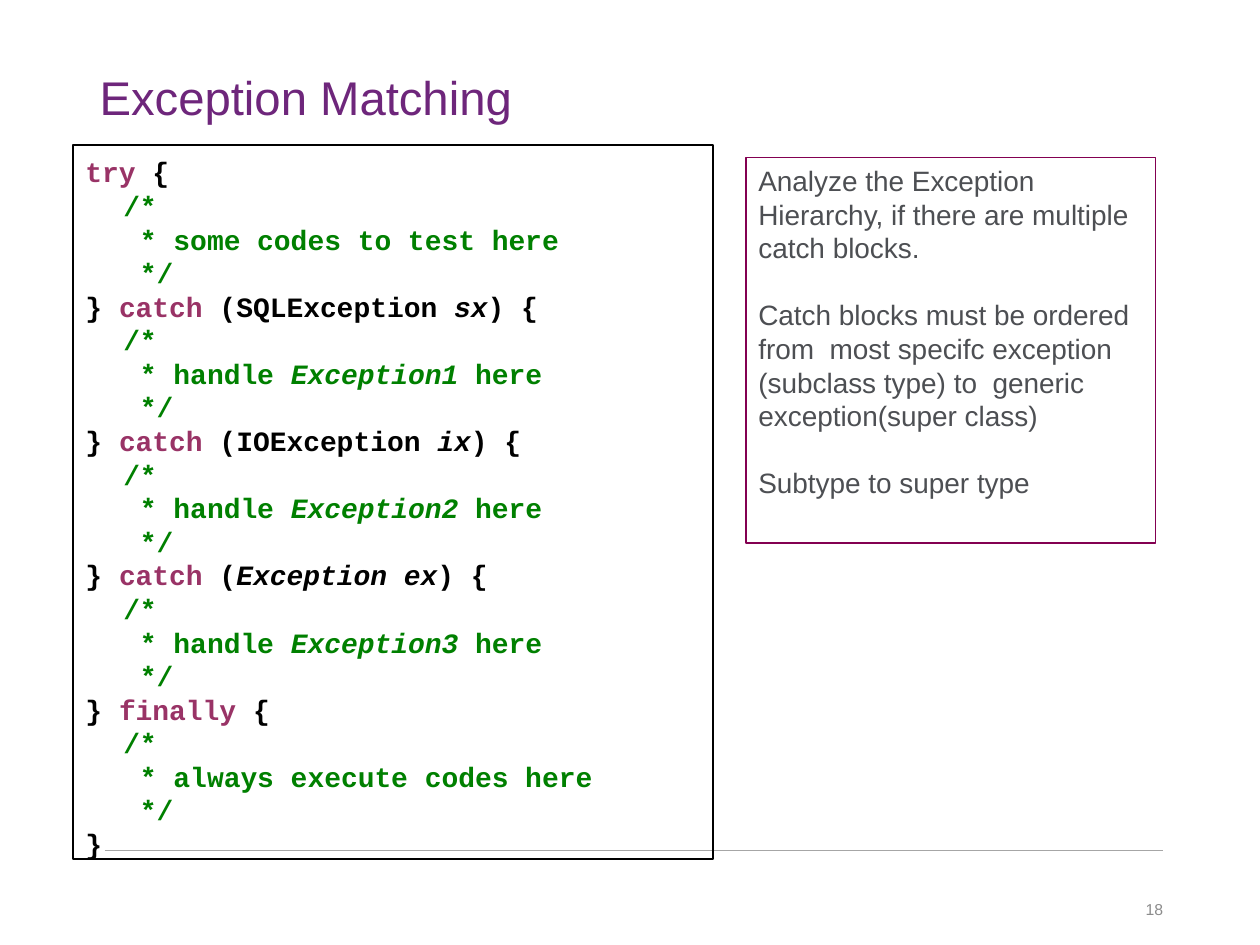
from pptx import Presentation
from pptx.dml.color import RGBColor
from pptx.enum.shapes import MSO_CONNECTOR, MSO_SHAPE
from pptx.enum.text import MSO_ANCHOR, MSO_AUTO_SIZE, PP_ALIGN
from pptx.oxml.ns import qn
from pptx.util import Inches, Pt
from lxml.etree import SubElement

BLACK = RGBColor(0x00, 0x00, 0x00)
KEYWORD = RGBColor(0x99, 0x33, 0x66)
COMMENT = RGBColor(0x00, 0x80, 0x00)
PURPLE = RGBColor(0x6E, 0x26, 0x7B)
PLUM = RGBColor(0x83, 0x00, 0x51)
DARK_GRAY = RGBColor(0x4D, 0x4F, 0x53)
NUMBER_GRAY = RGBColor(0x8C, 0x8C, 0x8C)
RULE_GRAY = RGBColor(0xA6, 0xA6, 0xA6)
LINE_SPACING = Pt(19.2)

NOTES = [
    "Analyze the Exception Hierarchy, if there are multiple catch blocks.",
    "Catch blocks must be ordered from  most specifc exception "
    "(subclass type) to  generic exception(super class)",
    "Subtype to super type",
]


def comment_lines(*pieces):
    """Return a three-line block comment around (text, italic) pieces."""
    body = [("\t * ", COMMENT, False)]
    body += [(text, COMMENT, italic) for text, italic in pieces]
    return [[("\t/*", COMMENT, False)], body, [("\t */", COMMENT, False)]]


def catch_lines(type_name, variable, handled):
    """Return the lines of one catch clause with its comment."""
    header = [
        ("} ", BLACK, False),
        ("catch", KEYWORD, False),
        (f" ({type_name}", BLACK, False),
        (variable, BLACK, True),
        (") {", BLACK, False),
    ]
    return [header] + comment_lines(("handle ", False), (handled, True), (" here", False))


def code_lines():
    """Return all the lines of the try statement."""
    return [
        [("try", KEYWORD, False), (" {", BLACK, False)],
        *comment_lines(("some codes to test here", False)),
        *catch_lines("SQLException ", "sx", "Exception1"),
        *catch_lines("IOException ", "ix", "Exception2"),
        *catch_lines("", "Exception ex", "Exception3"),
        [("} ", BLACK, False), ("finally", KEYWORD, False), (" {", BLACK, False)],
        *comment_lines(("always execute codes here", False)),
        [("}", BLACK, False)],
    ]


def style_paragraph(paragraph, size, color=None, name="Arial"):
    """Set the font of a whole paragraph."""
    paragraph.font.name = name
    paragraph.font.size = Pt(size)
    if color is not None:
        paragraph.font.color.rgb = color


def add_outlined_box(slide, box, color, width):
    """Add an unfilled rectangle and return its text frame."""
    shape = slide.shapes.add_shape(MSO_SHAPE.RECTANGLE, *box)
    shape.shadow.inherit = False
    shape.fill.background()
    shape.line.color.rgb = color
    shape.line.width = Pt(width)
    text_frame = shape.text_frame
    text_frame.word_wrap = True
    text_frame.vertical_anchor = MSO_ANCHOR.TOP
    return text_frame


def next_paragraph(text_frame, index):
    """Return the first paragraph or a new one, left-aligned."""
    paragraph = text_frame.add_paragraph() if index else text_frame.paragraphs[0]
    paragraph.alignment = PP_ALIGN.LEFT
    paragraph.line_spacing = LINE_SPACING
    return paragraph


def add_title(slide, box):
    """Place and format the title placeholder."""
    title = slide.shapes.title
    title.left, title.top, title.width, title.height = box
    text_frame = title.text_frame
    text_frame.text = "Exception Matching"
    text_frame.auto_size = MSO_AUTO_SIZE.NONE
    text_frame.vertical_anchor = MSO_ANCHOR.MIDDLE
    text_frame.margin_left = Inches(0.29)
    paragraph = text_frame.paragraphs[0]
    paragraph.alignment = PP_ALIGN.LEFT
    style_paragraph(paragraph, 27, PURPLE)


def add_footer(slide, box):
    """Add the footer rule and the slide number below it."""
    rule = slide.shapes.add_connector(
        MSO_CONNECTOR.STRAIGHT, Inches(0.83), Inches(6.75), Inches(9.23), Inches(6.75)
    )
    rule.line.color.rgb = RULE_GRAY
    rule.line.width = Pt(0.75)
    SubElement(rule._element.spPr, qn("a:effectLst"))
    text_frame = slide.shapes.add_textbox(*box).text_frame
    text_frame.word_wrap = True
    text_frame.vertical_anchor = MSO_ANCHOR.MIDDLE
    paragraph = text_frame.paragraphs[0]
    paragraph.text = "18"
    paragraph.alignment = PP_ALIGN.RIGHT
    style_paragraph(paragraph, 9, NUMBER_GRAY)


def add_code(slide, box):
    """Add the outlined code listing."""
    text_frame = add_outlined_box(slide, box, BLACK, 1)
    text_frame.margin_top = Inches(0.08)
    for index, line in enumerate(code_lines()):
        paragraph = next_paragraph(text_frame, index)
        properties = paragraph._p.get_or_add_pPr()
        properties.set("marL", str(Inches(0.3)))
        properties.set("indent", str(-Inches(0.3)))
        style_paragraph(paragraph, 16, name="Courier New")
        paragraph.font.bold = True
        for text, color, italic in line:
            run = paragraph.add_run()
            run.text = text
            run.font.color.rgb = color
            run.font.italic = italic


def add_notes_box(slide, box):
    """Add the outlined box with the catch-order rules."""
    text_frame = add_outlined_box(slide, box, PLUM, 0.75)
    for index, text in enumerate(NOTES):
        paragraph = next_paragraph(text_frame, index)
        paragraph.text = text
        if index:
            paragraph.space_before = LINE_SPACING
        style_paragraph(paragraph, 16, DARK_GRAY)


def main():
    """Build the slide and save it."""
    presentation = Presentation()
    presentation.slide_width = Inches(10)
    presentation.slide_height = Inches(7.5)
    slide = presentation.slides.add_slide(presentation.slide_layouts[5])
    add_title(slide, (Inches(0.5), Inches(0.42), Inches(9), Inches(0.7)))
    add_footer(slide, (Inches(7), Inches(7.02), Inches(2.33), Inches(0.4)))
    add_code(slide, (Inches(0.58), Inches(1.15), Inches(5.08), Inches(5.67)))
    add_notes_box(slide, (Inches(5.92), Inches(1.25), Inches(3.25), Inches(3.06)))
    presentation.save("out.pptx")


if __name__ == "__main__":
    main()
